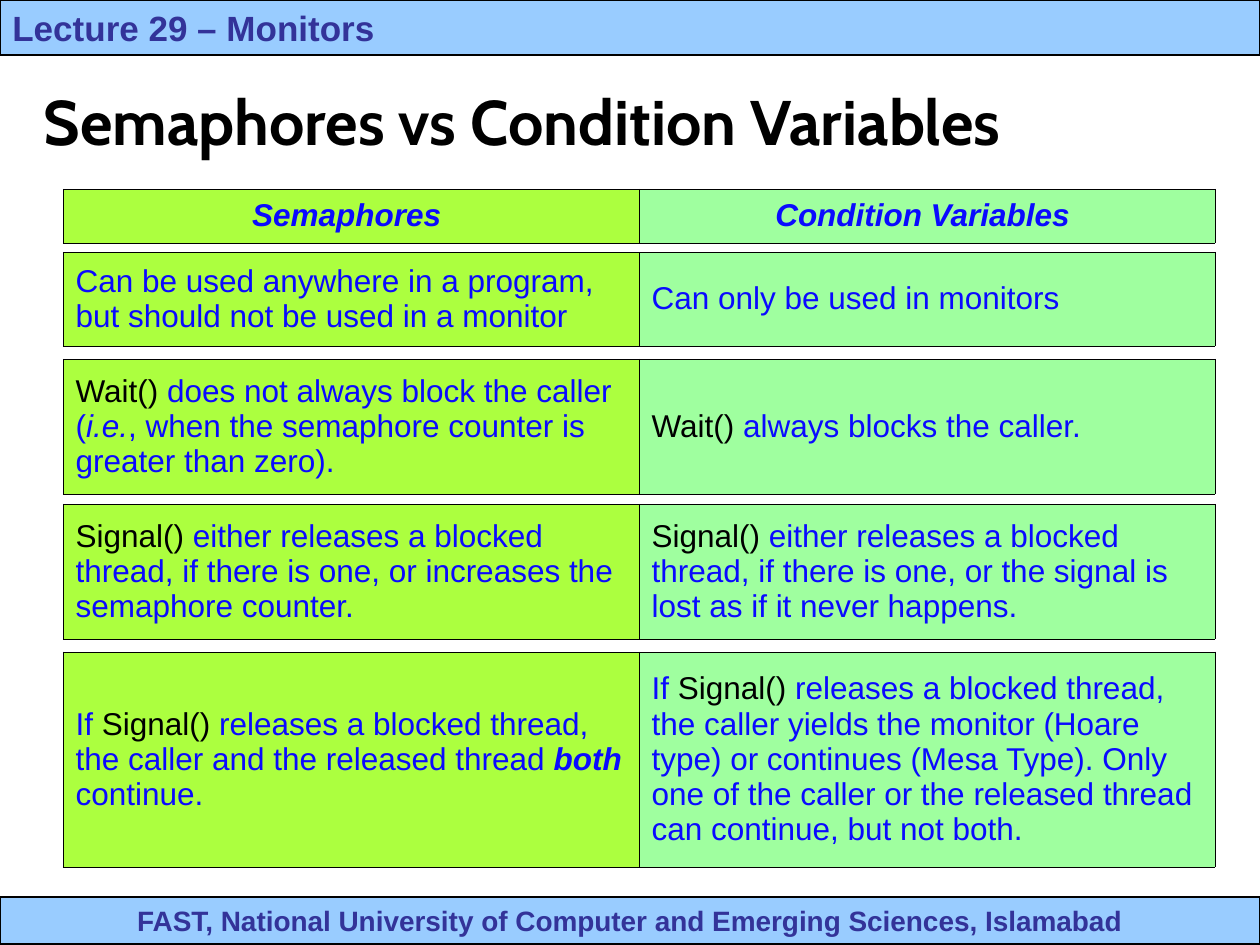
import pptx
import pptx.dml.color
import pptx.enum.text
import pptx.oxml.ns
import pptx.util
from lxml import etree

PX = 914400 / 126
COLORS = {
    "band": "99CCFF", "band text": "333399", "black": "000000",
    "blue": "0A0AFF", "semaphore": "ACFF3F", "condition": "9FFF9F",
}
# Run style: colour, bold, italic
STYLES = {
    "text": ("blue", False, False),
    "code": ("black", False, False),
    "latin": ("blue", False, True),
    "strong": ("blue", True, True),
}
ALIGN = pptx.enum.text.PP_ALIGN
MIDDLE = pptx.enum.text.MSO_ANCHOR.MIDDLE


def px(*lengths):
    return [pptx.util.Emu(round(length * PX)) for length in lengths]


def rgb(name):
    return pptx.dml.color.RGBColor.from_string(COLORS[name])


deck = pptx.Presentation()
deck.slide_width, deck.slide_height = px(1260, 945)
slide = deck.slides.add_slide(deck.slide_layouts[5])

# Footer and header bands
bands = [
    (897, 47, "FAST, National University of Computer and Emerging Sciences, Islamabad",
     16, ALIGN.CENTER),
    (0, 55, "Lecture 29 – Monitors", 20, ALIGN.LEFT),
]
for top, height, words, size, align in bands:
    band = slide.shapes.add_shape(1, *px(0, top, 1260, height))
    band.shadow.inherit = False
    band.fill.solid()
    band.fill.fore_color.rgb = rgb("band")
    band.line.color.rgb = rgb("black")
    band.line.width = pptx.util.Pt(0.75)
    band.text_frame.vertical_anchor = MIDDLE
    paragraph = band.text_frame.paragraphs[0]
    paragraph.text = words
    paragraph.alignment = align
    paragraph.font.name = "Arial"
    paragraph.font.size = pptx.util.Pt(size)
    paragraph.font.bold = True
    paragraph.font.color.rgb = rgb("band text")

title = slide.shapes.title
title.left, title.top, title.width, title.height = px(31, 73, 1134, 95)
title.text_frame.vertical_anchor = MIDDLE
heading = title.text_frame.paragraphs[0]
heading.text = "Semaphores vs Condition Variables"
heading.alignment = ALIGN.LEFT
heading.font.name = "Cabin"
heading.font.size = pptx.util.Pt(36)
heading.font.bold = True
heading.font.color.rgb = rgb("black")

# Each comparison is a one-row table: top, height, alignment, semaphore runs, condition runs
comparisons = [
    (189, 54, ALIGN.CENTER,
     [("Semaphores ", "strong")],
     [("Condition Variables ", "strong")]),
    (252, 94, ALIGN.LEFT,
     [("Can be used anywhere in a program, but should not be used in a monitor", "text")],
     [("Can only be used in monitors", "text")]),
    (359, 135, ALIGN.LEFT,
     [("Wait()", "code"), (" does not always block the caller (", "text"), ("i.e.", "latin"),
      (", when the semaphore counter is greater than zero).", "text")],
     [("Wait()", "code"), (" always blocks the caller.", "text")]),
    (504, 135, ALIGN.LEFT,
     [("Signal()", "code"),
      (" either releases a blocked thread, if there is one, or increases the "
       "semaphore counter.", "text")],
     [("Signal()", "code"),
      (" either releases a blocked thread, if there is one, or the signal is "
       "lost as if it never happens.", "text")]),
    (652, 215, ALIGN.LEFT,
     [("If ", "text"), ("Signal()", "code"),
      (" releases a blocked thread, the caller and the released thread ", "text"),
      ("both", "strong"), (" continue.", "text")],
     [("If ", "text"), ("Signal()", "code"),
      (" releases a blocked thread, the caller yields the monitor (Hoare type) or "
       "continues (Mesa Type). Only one of the caller or the released thread can "
       "continue, but not both.", "text")]),
]
for top, height, align, *sides in comparisons:
    comparison = slide.shapes.add_table(1, 2, *px(63, top, 1152, height)).table
    comparison.first_row = False
    comparison.horz_banding = False
    for cell, runs, fill in zip(comparison.iter_cells(), sides, ("semaphore", "condition")):
        cell.vertical_anchor = MIDDLE
        properties = cell._tc.get_or_add_tcPr()
        for edge in ("a:lnL", "a:lnR", "a:lnT", "a:lnB"):
            border = etree.SubElement(properties, pptx.oxml.ns.qn(edge), w="4318")
            solid = etree.SubElement(border, pptx.oxml.ns.qn("a:solidFill"))
            etree.SubElement(solid, pptx.oxml.ns.qn("a:srgbClr"), val=COLORS["black"])
        cell.fill.solid()
        cell.fill.fore_color.rgb = rgb(fill)
        paragraph = cell.text_frame.paragraphs[0]
        paragraph.alignment = align
        paragraph.font.name = "Arial"
        paragraph.font.size = pptx.util.Pt(18)
        for words, style in runs:
            color, bold, italic = STYLES[style]
            run = paragraph.add_run()
            run.text = words
            run.font.color.rgb = rgb(color)
            run.font.bold = bold
            run.font.italic = italic

deck.save("out.pptx")
